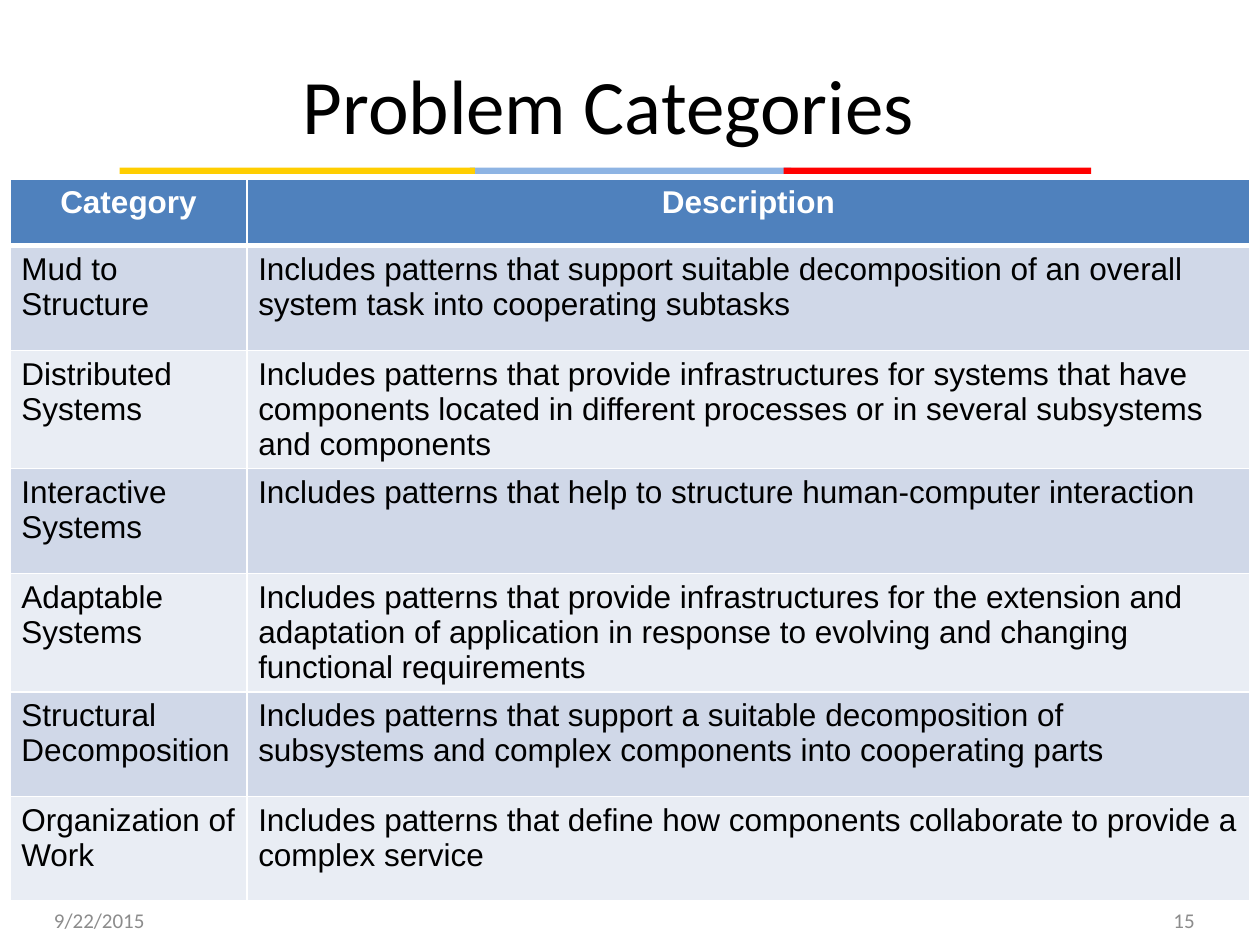
from lxml.etree import SubElement
from pptx import Presentation
from pptx.dml.color import RGBColor
from pptx.enum.shapes import MSO_SHAPE as Shape
from pptx.enum.text import MSO_ANCHOR as Anchor, PP_ALIGN as Align
from pptx.oxml.ns import qn
from pptx.util import Inches, Pt

COLORS = {
    "black": "000000", "white": "FFFFFF", "gray": "8C8C8C",
    "yellow": "FFCE00", "sky": "8EB4E3", "red": "FF0000",
    "header": "4F81BD", "odd": "D0D8E8", "even": "E9EDF4",
}
COLUMNS, ROWS = 100, 75

CATEGORIES = [
    ("Category", "Description"),
    ("Mud to Structure",
     "Includes patterns that support suitable decomposition of an overall "
     "system task into cooperating subtasks"),
    ("Distributed Systems",
     "Includes patterns that provide infrastructures for systems that have "
     "components located in different processes or in several subsystems "
     "and components"),
    ("Interactive Systems",
     "Includes patterns that help to structure human-computer interaction"),
    ("Adaptable Systems",
     "Includes patterns that provide infrastructures for the extension and "
     "adaptation of application in response to evolving and changing "
     "functional requirements"),
    ("Structural Decomposition",
     "Includes patterns that support a suitable decomposition of "
     "subsystems and complex components into cooperating parts"),
    ("Organization of Work",
     "Includes patterns that define how components collaborate to provide "
     "a complex service"),
]


def rgb(name):
    return RGBColor.from_string(COLORS[name])


def write(frame, text, size=18, font="Arial", color="black", bold=False,
          align=Align.LEFT, anchor=Anchor.TOP):
    frame.word_wrap = True
    frame.vertical_anchor = anchor
    paragraph = frame.paragraphs[0]
    paragraph.alignment = align
    run = paragraph.add_run()
    run.text = text
    run.font.size, run.font.name, run.font.bold = Pt(size), font, bold
    run.font.color.rgb = rgb(color)


def add_borders(cell, **widths):
    """Draw white cell borders; python-pptx has no method for them."""
    properties = cell._tc.get_or_add_tcPr()
    for index, (side, width) in enumerate(widths.items()):
        line = SubElement(properties, qn(f"a:ln{side}"), w=str(Pt(width)))
        fill = SubElement(line, qn("a:solidFill"))
        SubElement(fill, qn("a:srgbClr"), val=COLORS["white"])
        properties.insert(index, line)


class Deck:
    """Holds the slide and its grid of COLUMNS by ROWS."""

    def __init__(self):
        self.file = Presentation()
        self.file.slide_width, self.file.slide_height = Inches(10), Inches(7.5)
        self.slide = self.file.slides.add_slide(self.file.slide_layouts[5])

    def across(self, columns):
        return round(self.file.slide_width * columns / COLUMNS)

    def down(self, rows):
        return round(self.file.slide_height * rows / ROWS)

    def box(self, left, top, width, height):
        return (self.across(left), self.down(top),
                self.across(width), self.down(height))

    def title(self, text, *place):
        title = self.slide.shapes.title
        title.left, title.top, title.width, title.height = self.box(*place)
        write(title.text_frame, text, size=44, font="Calibri",
              align=Align.CENTER, anchor=Anchor.MIDDLE)

    def bar(self, color, *place):
        bar = self.slide.shapes.add_shape(Shape.RECTANGLE, *self.box(*place))
        bar.shadow.inherit = False
        bar.fill.solid()
        bar.fill.fore_color.rgb = rgb(color)
        bar.line.fill.background()

    def footer(self, text, left, align):
        box = self.slide.shapes.add_textbox(*self.box(left, 71, 23.3, 4))
        write(box.text_frame, text, size=12, font="Calibri", color="gray",
              align=align, anchor=Anchor.MIDDLE)

    def table(self, content, left, top, widths, heights):
        table = self.slide.shapes.add_table(
            len(content), len(widths),
            *self.box(left, top, sum(widths), sum(heights))).table
        for column, width in zip(table.columns, widths):
            column.width = self.across(width)
        for row, height in zip(table.rows, heights):
            row.height = self.down(height)
        for r, texts in enumerate(content):
            for c, text in enumerate(texts):
                self.cell(table.cell(r, c), text, r)

    def cell(self, cell, text, row):
        is_header = row == 0
        cell.margin_left = cell.margin_right = Inches(0.09)
        cell.margin_top = cell.margin_bottom = Inches(0.05)
        cell.fill.solid()
        band = "odd" if row % 2 else "even"
        cell.fill.fore_color.rgb = rgb("header" if is_header else band)
        add_borders(cell, L=1, R=1, T=3 if row == 1 else 1,
                    B=3 if is_header else 1)
        write(cell.text_frame, text, bold=is_header,
              color="white" if is_header else "black",
              align=Align.CENTER if is_header else Align.LEFT)


def main():
    deck = Deck()

    # Title over a three-colour rule
    deck.bar("sky", 37.3, 13.3, 25.5, 0.5)
    deck.bar("red", 62.2, 13.3, 24.4, 0.5)
    deck.bar("yellow", 9.5, 13.3, 28.2, 0.5)
    deck.title("Problem Categories", 3.3, 3.1, 90, 10.3)

    # Categories and their descriptions
    body_rows = len(CATEGORIES) - 1
    deck.table(CATEGORIES, 0.8, 14.2, widths=[18.8, 79.6],
               heights=[5.3] + [8.3] * body_rows)

    # Date and slide number
    deck.footer("9/22/2015", 3.3, Align.LEFT)
    deck.footer("15", 72.5, Align.RIGHT)

    deck.file.save("out.pptx")


if __name__ == "__main__":
    main()
